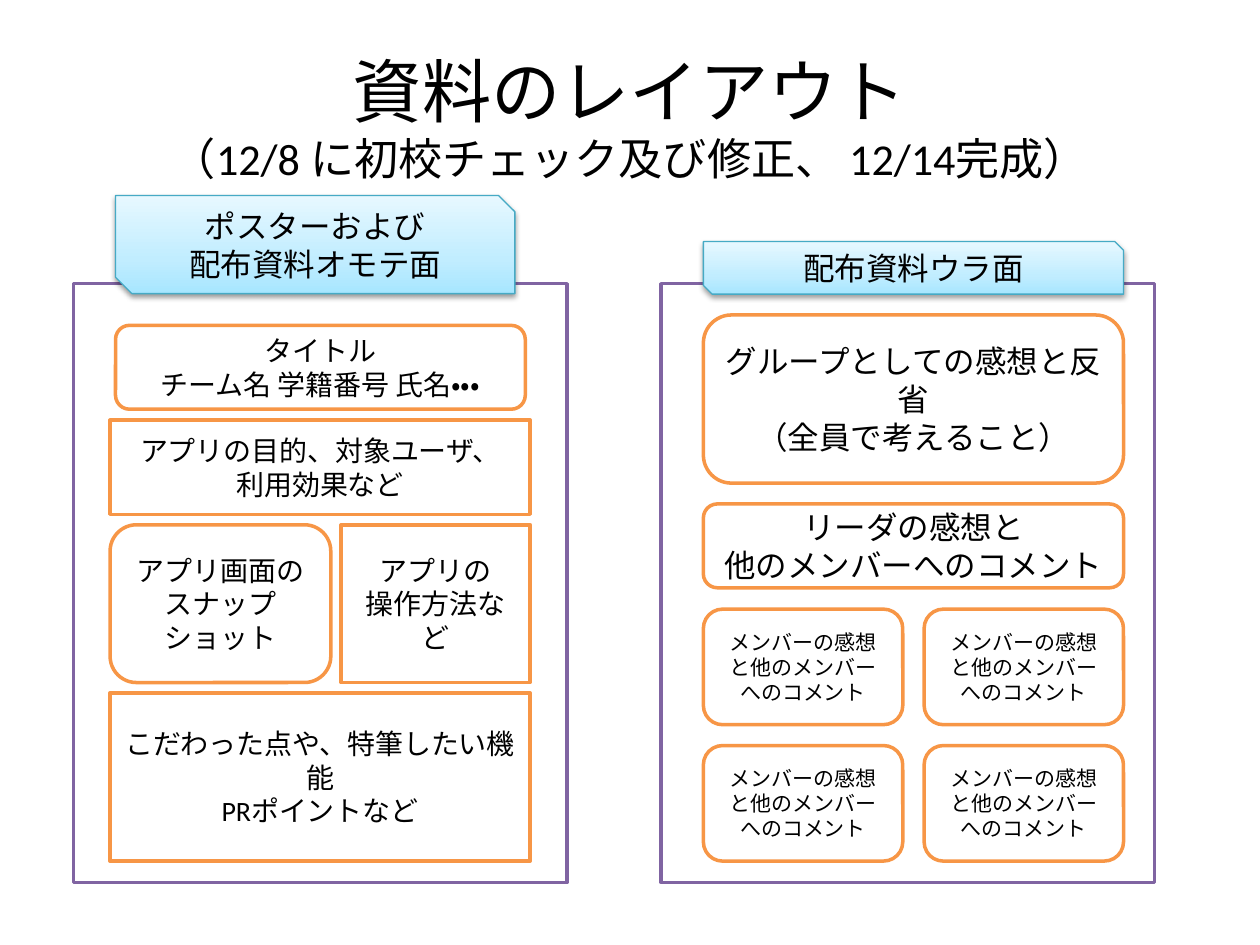
import pptx
import pptx.dml.color
import pptx.enum.lang
import pptx.enum.shapes
import pptx.enum.text
import pptx.oxml
import pptx.util

Cm = pptx.util.Cm
Pt = pptx.util.Pt
RGB = pptx.dml.color.RGBColor.from_string
SHAPE = pptx.enum.shapes.MSO_SHAPE

COLORS = {
    "text": "000000",
    "paper": "FFFFFF",
    "panel": "8064A2",
    "item": "F79646",
    "header": "46AAC5",
}
HEADER_STOPS = [(0, "A7E6FF"), (35, "C1EDFF"), (100, "E7F8FF")]
DRAWING_NS = 'xmlns:a="http://schemas.openxmlformats.org/drawingml/2006/main"'
FRAME_FORMAT = {
    "word_wrap": True,
    "vertical_anchor": pptx.enum.text.MSO_ANCHOR.MIDDLE,
}
FONT_FORMAT = {
    "name": "Calibri",
    "language_id": pptx.enum.lang.MSO_LANGUAGE_ID.JAPANESE,
}


def write(shape, text, *sizes):
    """Centre the text; each run takes the next size, the last one repeats."""
    frame = shape.text_frame
    for attribute, value in FRAME_FORMAT.items():
        setattr(frame, attribute, value)
    frame.text = text
    for paragraph in frame.paragraphs:
        paragraph.alignment = pptx.enum.text.PP_ALIGN.CENTER
        for index, run in enumerate(paragraph.runs):
            for attribute, value in FONT_FORMAT.items():
                setattr(run.font, attribute, value)
            run.font.size = Pt(sizes[min(index, len(sizes) - 1)])
            run.font.color.rgb = RGB(COLORS["text"])


def add_box(kind, place, color, line_width):
    box = slide.shapes.add_shape(kind, *[Cm(length) for length in place])
    box.shadow.inherit = False
    box.fill.solid()
    box.fill.fore_color.rgb = RGB(COLORS["paper"])
    box.line.color.rgb = RGB(COLORS[color])
    box.line.width = Pt(line_width)
    return box


deck = pptx.Presentation()
deck.slide_width, deck.slide_height = Cm(25.4), Cm(19.05)
slide = deck.slides.add_slide(deck.slide_layouts[6])

title = slide.shapes.add_textbox(Cm(1.27), Cm(0.76), Cm(22.86), Cm(3.18))
write(title, "資料のレイアウト\v（12/8 に初校チェック及び修正、 12/14完成）", 39.6, 25.2)

# Front and back page
for left in (1.48, 13.33):
    add_box(SHAPE.RECTANGLE, (left, 5.72, 9.95, 12.07), "panel", 2)

front, back, full = 2.22, 14.18, 8.47
items = [
    (SHAPE.ROUNDED_RECTANGLE, (2.33, 6.56, 8.26, 1.69), 16,
     "タイトル\nチーム名 学籍番号 氏名・・・"),
    (SHAPE.RECTANGLE, (front, 8.47, full, 1.9), 16,
     "アプリの目的、対象ユーザ、\v利用効果など"),
    (SHAPE.ROUNDED_RECTANGLE, (front, 10.58, 4.45, 3.18), 16,
     "アプリ画面の\vスナップショット"),
    (SHAPE.RECTANGLE, (6.88, 10.58, 3.81, 3.18), 16,
     "アプリの\v操作方法など"),
    (SHAPE.RECTANGLE, (front, 13.97, full, 3.39), 16,
     "こだわった点や、特筆したい機能\nPRポイントなど"),
    (SHAPE.ROUNDED_RECTANGLE, (back, 6.35, full, 3.39), 18,
     "グループとしての感想と反省\v（全員で考えること）"),
    (SHAPE.ROUNDED_RECTANGLE, (back, 10.16, full, 1.69), 18,
     "リーダの感想と\v他のメンバーへのコメント"),
]
for row in range(2):
    for column in range(2):
        place = (back + column * 4.45, 12.28 + row * 2.75, 4.02, 2.33)
        items.append((SHAPE.ROUNDED_RECTANGLE, place, 12,
                      "メンバーの感想と他のメンバーへのコメント"))
for kind, place, size, text in items:
    write(add_box(kind, place, "item", 2), text, size)

headers = [
    ((2.33, 3.94, 8.05, 1.98), "ポスターおよび\n配布資料オモテ面"),
    ((back, 4.87, full, 1.06), "配布資料ウラ面"),
]
stops = "".join(
    f'<a:gs pos="{position * 1000}"><a:srgbClr val="{color}"/></a:gs>'
    for position, color in HEADER_STOPS
)
gradient_xml = (
    f'<a:gradFill {DRAWING_NS} rotWithShape="1"><a:gsLst>{stops}</a:gsLst>'
    '<a:lin ang="16200000" scaled="1"/></a:gradFill>'
)
shadow_xml = (
    f'<a:outerShdw {DRAWING_NS} blurRad="{Pt(3.1)}" dist="{Pt(1.6)}" '
    'dir="5400000" rotWithShape="0"><a:srgbClr val="000000">'
    '<a:alpha val="38000"/></a:srgbClr></a:outerShdw>'
)
for place, text in headers:
    header = add_box(SHAPE.SNIP_2_DIAG_RECTANGLE, place, "header", 0.75)
    properties = header._element.spPr
    solid = properties.find(pptx.oxml.ns.qn("a:solidFill"))
    properties.replace(solid, pptx.oxml.parse_xml(gradient_xml))
    effects = properties.find(pptx.oxml.ns.qn("a:effectLst"))
    effects.append(pptx.oxml.parse_xml(shadow_xml))
    write(header, text, 18)

deck.save("out.pptx")
